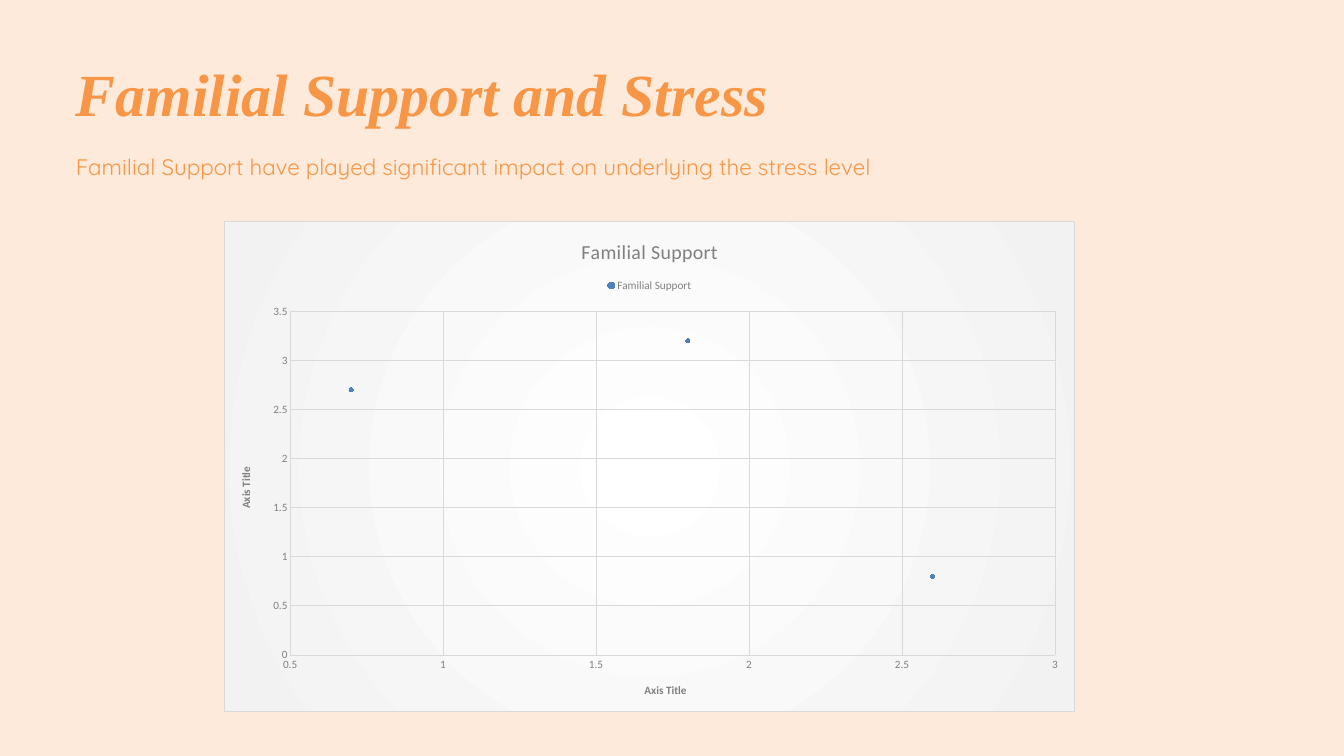
from lxml import etree
from pptx import Presentation
from pptx.chart.data import XyChartData
from pptx.dml.color import RGBColor
from pptx.enum.chart import XL_CHART_TYPE as Kind
from pptx.enum.chart import XL_LEGEND_POSITION as Side
from pptx.enum.chart import XL_MARKER_STYLE as Mark
from pptx.enum.chart import XL_TICK_MARK as Tick
from pptx.oxml import parse_xml
from pptx.oxml.ns import nsdecls, qn
from pptx.util import Pt

ORANGE, GREY, RULE, BLUE = "F79646", "808080", "D9D9D9", "4F81BD"

PANEL = f"""<c:spPr {nsdecls("c", "a")}>
  <a:gradFill>
    <a:gsLst>
      <a:gs pos="0"><a:srgbClr val="FFFFFF"/></a:gs>
      <a:gs pos="100000"><a:srgbClr val="F2F2F2"/></a:gs>
    </a:gsLst>
    <a:path path="circle">
      <a:fillToRect l="50000" t="50000" r="50000" b="50000"/>
    </a:path>
  </a:gradFill>
  <a:ln w="9525"><a:solidFill><a:srgbClr val="{RULE}"/></a:solidFill></a:ln>
</c:spPr>"""


def color(code):
    return RGBColor.from_string(code)


def style(font, size, face="Calibri", ink=GREY, bold=False, italic=False):
    font.size, font.name = Pt(size), face
    font.bold, font.italic = bold, italic
    font.color.rgb = color(ink)


def write(frame, text, lead=None, **form):
    para = frame.paragraphs[0]
    if lead:
        para.line_spacing = Pt(lead)
    run = para.add_run()
    run.text = text
    style(run.font, **form)
    return run


def rule(line):
    line.color.rgb = color(RULE)
    line.width = Pt(0.75)


def add_text(slide, box, text, **form):
    frame = slide.shapes.add_textbox(*map(Pt, box)).text_frame
    frame.word_wrap = True
    frame.margin_left = frame.margin_right = 0
    frame.margin_top = frame.margin_bottom = 0
    write(frame, text, **form)


def add_head(slide, left, top):
    add_text(slide, (left, top, 813, 179), "Familial Support and Stress",
             lead=89.6, size=64, face="Times New Roman", ink=ORANGE,
             bold=True, italic=True)
    add_text(slide, (left, top + 105, 1278, 41),
             "Familial Support have played significant impact "
             "on underlying the stress level",
             lead=40.8, size=24, face="Quicksand", ink=ORANGE)


def set_axis(axis, low, high):
    axis.minimum_scale, axis.maximum_scale = low, high
    axis.major_unit = 0.5
    axis.major_tick_mark = axis.minor_tick_mark = Tick.NONE
    axis.has_major_gridlines = True
    rule(axis.major_gridlines.format.line)
    style(axis.tick_labels.font, 12)
    axis.tick_labels.number_format = "General"
    axis.tick_labels.number_format_is_linked = False
    write(axis.axis_title.text_frame, "Axis Title", size=12, bold=True)


def add_plot(slide, box):
    name = "Familial Support"
    data = XyChartData()
    points = data.add_series(name)
    for x, y in ((0.7, 2.7), (1.8, 3.2), (2.6, 0.8)):
        points.add_data_point(x, y)
    chart = slide.shapes.add_chart(
        Kind.XY_SCATTER, *map(Pt, box), data).chart
    style(chart.font, 10, face="Arial", ink="000000")

    # Title and legend
    run = write(chart.chart_title.text_frame, name, size=21.3)
    run.font._element.set("spc", "50")
    chart.chart_title.include_in_layout = False
    chart.has_legend = True
    chart.legend.position = Side.TOP
    chart.legend.include_in_layout = False
    style(chart.legend.font, 12)

    # Axes
    set_axis(chart.category_axis, 0.5, 3)
    rule(chart.category_axis.format.line)
    set_axis(chart.value_axis, 0, 3.5)
    chart.value_axis.format.line.fill.background()

    # Markers without a joining line
    plot = chart.plots[0]
    plot.vary_by_categories = False
    series = plot.series[0]
    series.smooth = False
    series.format.line.fill.background()
    series.marker.style, series.marker.size = Mark.CIRCLE, 4
    look = series.marker.format
    look.fill.solid()
    look.fill.fore_color.rgb = color(BLUE)
    look.line.color.rgb = color(BLUE)

    # Square panel with a radial gradient
    body = chart.element.find(qn("c:chart"))
    body.addnext(parse_xml(PANEL))
    corner = etree.Element(qn("c:roundedCorners"), val="0")
    body.addprevious(corner)


def main():
    deck = Presentation()
    deck.slide_width, deck.slide_height = Pt(1440), Pt(810)
    slide = deck.slides.add_slide(deck.slide_layouts[6])
    back = slide.background.fill
    back.solid()
    back.fore_color.rgb = color("FDEADA")
    add_head(slide, 81.4, 47.5)
    add_plot(slide, (240, 237, 912, 526))
    deck.save("out.pptx")


if __name__ == "__main__":
    main()
